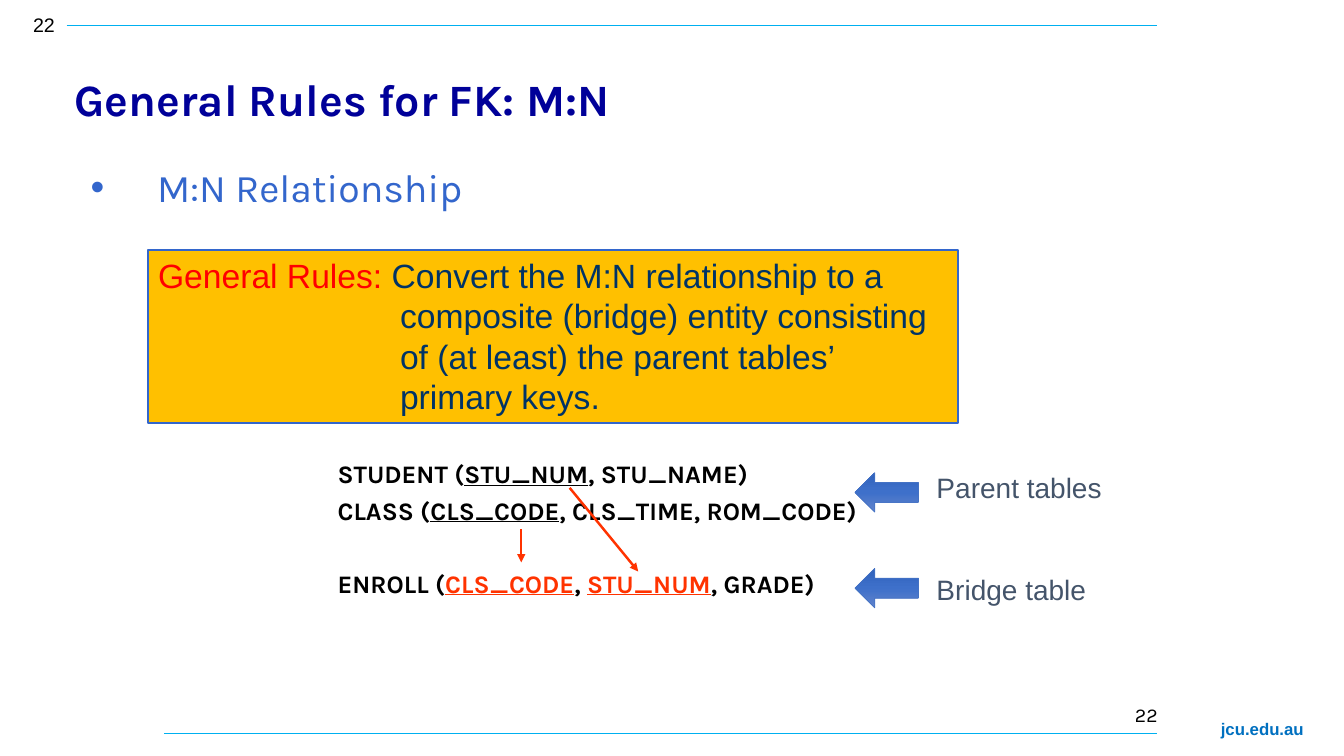
from dataclasses import dataclass

import pptx
import pptx.dml.color
import pptx.enum.dml
import pptx.enum.shapes
import pptx.enum.text
import pptx.oxml.ns
import pptx.util
from lxml import etree

PX = 9144
COLORS = {
    "black": "000000", "navy": "000099", "blue": "3366CC", "ink": "003366",
    "red": "FF0000", "key": "FF3300", "amber": "FFC000", "slate": "44546A",
    "rule": "00B0F0", "link": "0070C0", "arrow": "4472C4",
}
ARROW_STOPS = [(0, "6183CB"), (50, "3E70CA"), (100, "3062BB")]
MSO_SHAPE = pptx.enum.shapes.MSO_SHAPE
qn = pptx.oxml.ns.qn


@dataclass
class Run:
    text: str
    color: str = "black"
    underline: bool = False


@dataclass
class Para:
    runs: list[Run]
    before: float = 0
    left: int = 0
    hanging: int = 0
    bullet: bool = False
    spacing: float | None = None


@dataclass
class Box:
    at: tuple[int, int, int, int]
    paras: list[Para]
    size: float
    font: str = "Arial"
    bold: bool = False
    wrap: bool = True
    middle: bool = False
    right: bool = False
    fill: str | None = None
    outline: str | None = None


@dataclass
class Line:
    start: tuple[int, int]
    end: tuple[int, int]
    color: str
    width: float
    arrow: bool = False


def rgb(name: str) -> pptx.dml.color.RGBColor:
    return pptx.dml.color.RGBColor.from_string(COLORS[name])


def emu(lengths: tuple[int, ...]) -> list[int]:
    return [n * PX for n in lengths]


def add_bullet(p, color: str) -> None:
    pPr = p._p.get_or_add_pPr()
    clr = etree.SubElement(pPr, qn("a:buClr"))
    etree.SubElement(clr, qn("a:srgbClr"), val=COLORS[color])
    etree.SubElement(pPr, qn("a:buFont"), typeface="Arial")
    etree.SubElement(pPr, qn("a:buChar"), char="•")


def write_para(p, para: Para, box: Box) -> None:
    pPr = p._p.get_or_add_pPr()
    pPr.set("marL", str(para.left * PX))
    pPr.set("indent", str(-para.hanging * PX))
    if para.bullet:
        add_bullet(p, para.runs[0].color)
    p.space_before = pptx.util.Pt(para.before)
    if para.spacing:
        p.line_spacing = para.spacing
    align = pptx.enum.text.PP_ALIGN
    p.alignment = align.RIGHT if box.right else align.LEFT
    for run in para.runs:
        r = p.add_run()
        r.text = run.text
        r.font.name = box.font
        r.font.size = pptx.util.Pt(box.size)
        r.font.bold = box.bold
        r.font.underline = run.underline
        r.font.color.rgb = rgb(run.color)


def draw_box(s, box: Box) -> None:
    if box.fill:
        sp = s.shapes.add_shape(MSO_SHAPE.RECTANGLE, *emu(box.at))
        sp.shadow.inherit = False
        sp.fill.solid()
        sp.fill.fore_color.rgb = rgb(box.fill)
        sp.line.color.rgb = rgb(box.outline)
        sp.line.width = pptx.util.Pt(1.5)
    else:
        sp = s.shapes.add_textbox(*emu(box.at))
    tf = sp.text_frame
    tf.word_wrap = box.wrap
    anchor = pptx.enum.text.MSO_ANCHOR
    tf.vertical_anchor = anchor.MIDDLE if box.middle else anchor.TOP
    for i, para in enumerate(box.paras):
        p = tf.add_paragraph() if i else tf.paragraphs[0]
        write_para(p, para, box)


def draw_line(s, line: Line) -> None:
    kind = pptx.enum.shapes.MSO_CONNECTOR.STRAIGHT
    cxn = s.shapes.add_connector(kind, *emu(line.start + line.end))
    cxn.line.color.rgb = rgb(line.color)
    cxn.line.width = pptx.util.Pt(line.width)
    if line.arrow:
        etree.SubElement(cxn.line._get_or_add_ln(), qn("a:tailEnd"), type="triangle")
    etree.SubElement(cxn._element.spPr, qn("a:effectLst"))


def draw_block_arrow(s, left: int, top: int) -> None:
    sp = s.shapes.add_shape(MSO_SHAPE.RIGHT_ARROW, *emu((left, top, 63, 39)))
    sp.rotation = 180
    sp.shadow.inherit = False
    sp.fill.gradient()
    sp.fill.gradient_angle = 270
    stops = sp._element.spPr.find(qn("a:gradFill")).find(qn("a:gsLst"))
    for gs in list(stops):
        stops.remove(gs)
    for pos, color in ARROW_STOPS:
        gs = etree.SubElement(stops, qn("a:gs"), pos=str(pos * 1000))
        etree.SubElement(gs, qn("a:srgbClr"), val=color)
    sp.line.color.rgb = rgb("arrow")
    sp.line.width = pptx.util.Pt(0.5)


def rule_line(text: str) -> Para:
    return Para([Run(text, "ink")], left=240)


def hanging(*runs: Run, before: float = 0) -> Para:
    return Para(list(runs), before, left=37, hanging=37)


BOXES = [
    Box((1201, 708, 105, 30), [Para([Run("jcu.edu.au", "link")])], 12, bold=True, wrap=False),
    Box((23, 8, 50, 37), [Para([Run("22")])], 14),
    Box((950, 692, 208, 50), [Para([Run("22")])], 14, "Karla", right=True),
    Box((64, 58, 1028, 80), [Para([Run("General Rules for FK: M:N", "navy")])],
        32, "Karla", bold=True, middle=True),
    Box((80, 162, 973, 59),
        [Para([Run("M:N Relationship", "blue")], left=66, hanging=66, bullet=True, spacing=0.9)],
        28, "Karla"),
    Box((147, 248, 803, 172), [
        Para([Run("General Rules: ", "red"), Run("Convert the M:N relationship to a", "ink")]),
        rule_line("composite (bridge) entity consisting"),
        rule_line("of (at least) the parent tables’"),
        rule_line("primary keys."),
    ], 24, fill="amber", outline="blue"),
    Box((325, 450, 539, 167), [
        hanging(Run("STUDENT ("), Run("STU_NUM", underline=True), Run(", STU_NAME)")),
        hanging(Run("CLASS ("), Run("CLS_CODE", underline=True),
                Run(", CLS_TIME, ROM_CODE)"), before=4.5),
        hanging(Run("ENROLL ("), Run("CLS_CODE", "key", True), Run(", "),
                Run("STU_NUM", "key", True), Run(", GRADE)"), before=30.5),
    ], 18, "Karla", bold=True),
    Box((919, 462, 213, 181), [
        hanging(Run("Parent tables", "slate")),
        hanging(Run("Bridge table", "slate"), before=49),
    ], 20),
]

LINES = [
    Line((163, 728), (1148, 728), "rule", 0.5),
    Line((66, 25), (1148, 25), "rule", 0.5),
    Line((565, 484), (633, 567), "key", 1.75, arrow=True),
    Line((517, 525), (517, 558), "key", 1.75, arrow=True),
]


def main() -> None:
    prs = pptx.Presentation()
    prs.slide_width, prs.slide_height = emu((1333, 750))
    s = prs.slides.add_slide(prs.slide_layouts[6])
    for box in BOXES:
        draw_box(s, box)
    for line in LINES:
        draw_line(s, line)
    for top in (469, 564):
        draw_block_arrow(s, 848, top)
    prs.save("out.pptx")


if __name__ == "__main__":
    main()
